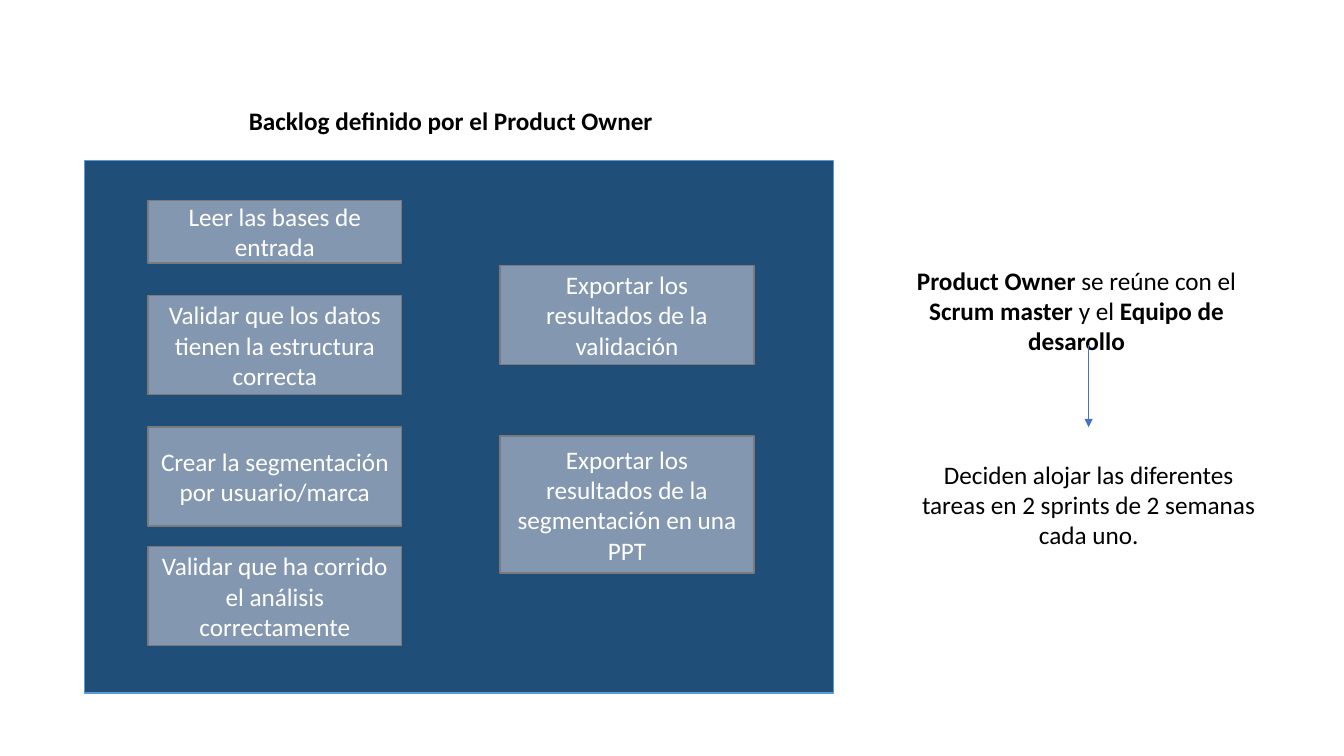
"""Build the slide of a product backlog and the planning of its sprints."""
from dataclasses import dataclass
from typing import Any

from lxml.etree import SubElement
from pptx import Presentation
from pptx.dml.color import RGBColor
from pptx.enum.shapes import MSO_CONNECTOR as Connector, MSO_SHAPE as Shape
from pptx.enum.text import MSO_ANCHOR as Anchor, MSO_AUTO_SIZE as AutoSize, PP_ALIGN as Align
from pptx.oxml.ns import qn
from pptx.util import Inches, Pt

WIDTH, HEIGHT = Inches(13.33), Inches(7.5)
COLUMNS = ROWS = 100
TASK_WIDTH, TASK_HEIGHT = 18.9, 13.1
STEP_WIDTH, STEP_HEIGHT = 27.8, 13.5

NAVY, SKY, SLATE, GRAY = "1F4E79", "5B9BD5", "8497B0", "7A7A7A"
BLACK, WHITE, BLUE = "000000", "FFFFFF", "4472C4"

FONT_FORMAT = {"name": "Calibri", "size": Pt(18)}
TASK_FORMAT = {"word_wrap": True, "vertical_anchor": Anchor.MIDDLE}
NOTE_FORMAT = {"word_wrap": True, "vertical_anchor": Anchor.TOP,
               "auto_size": AutoSize.SHAPE_TO_FIT_TEXT}


@dataclass(frozen=True)
class Area:
    """Place on the grid, in columns and rows."""
    column: float
    row: float
    width: float
    height: float

    def box(self) -> tuple[int, int, int, int]:
        """Return left, top, width and height as lengths."""
        return across(self.column), down(self.row), across(self.width), down(self.height)


@dataclass(frozen=True)
class Words:
    """Stretch of text in one weight."""
    text: str
    bold: bool = False


@dataclass(frozen=True)
class Task:
    """Backlog item with its place in a column."""
    text: str
    row: float
    height: float = TASK_HEIGHT


@dataclass(frozen=True)
class Note:
    """Free text beside or above the backlog."""
    area: Area
    words: tuple[Words, ...]


BACKLOG = Area(6.3, 21.2, 55.7, 70.5)

TASK_COLUMNS = {
    11: (
        Task("Leer las bases de entrada", 26.5, 8.3),
        Task("Validar que los datos tienen la estructura correcta", 39.1),
        Task("Crear la segmentación por usuario/marca", 56.5),
        Task("Validar que ha corrido el análisis correctamente", 72.3),
    ),
    37.2: (
        Task("Exportar los resultados de la validación", 35.1),
        Task("Exportar los resultados de la segmentación en una PPT", 57.7, 18.1),
    ),
}

NOTES = (
    Note(Area(12.5, 13.3, 42.1, 5.4), (Words("Backlog definido por el Product Owner", True),)),
    Note(Area(66.2, 34.4, STEP_WIDTH, STEP_HEIGHT), (
        Words("Product Owner ", True), Words("se reúne con el "),
        Words("Scrum master ", True), Words("y el "),
        Words("Equipo de desarollo", True))),
    Note(Area(67.1, 60.1, STEP_WIDTH, STEP_HEIGHT), (
        Words("Deciden alojar las diferentes tareas en 2 sprints de 2 semanas cada uno."),)),
)

MEETING_TO_DECISION = Area(81, 45.6, 0, 10.9)


def across(columns: float) -> int:
    """Turn columns into a length."""
    return round(WIDTH * columns / COLUMNS)


def down(rows: float) -> int:
    """Turn rows into a length."""
    return round(HEIGHT * rows / ROWS)


def rgb(color: str) -> RGBColor:
    """Turn a hex string into a colour."""
    return RGBColor.from_string(color)


def apply(target: Any, values: dict[str, Any]) -> None:
    """Set each format value on the target."""
    for name, value in values.items():
        setattr(target, name, value)


def write(frame: Any, words: tuple[Words, ...], color: str, layout: dict[str, Any]) -> None:
    """Fill a text frame with one centred paragraph."""
    apply(frame, layout)
    paragraph = frame.paragraphs[0]
    paragraph.alignment = Align.CENTER
    for part in words:
        run = paragraph.add_run()
        run.text = part.text
        apply(run.font, FONT_FORMAT | {"bold": part.bold})
        run.font.color.rgb = rgb(color)


def draw_panel(slide: Any, area: Area, fill: str, border: str) -> Any:
    """Draw a filled rectangle with a thin border."""
    panel = slide.shapes.add_shape(Shape.RECTANGLE, *area.box())
    panel.shadow.inherit = False
    panel.fill.solid()
    panel.fill.fore_color.rgb = rgb(fill)
    panel.line.color.rgb = rgb(border)
    panel.line.width = Pt(1)
    return panel


def draw_task(slide: Any, column: float, task: Task) -> None:
    """Draw one backlog item."""
    card = draw_panel(slide, Area(column, task.row, TASK_WIDTH, task.height), SLATE, GRAY)
    write(card.text_frame, (Words(task.text),), WHITE, TASK_FORMAT)


def draw_note(slide: Any, note: Note) -> None:
    """Draw one free text."""
    frame = slide.shapes.add_textbox(*note.area.box()).text_frame
    write(frame, note.words, BLACK, NOTE_FORMAT)


def draw_arrow(slide: Any, area: Area) -> None:
    """Draw an arrow from the first corner of the area to the last."""
    left, top, width, height = area.box()
    arrow = slide.shapes.add_connector(
        Connector.STRAIGHT, left, top, left + width, top + height)
    arrow.line.color.rgb = rgb(BLUE)
    arrow.line.width = Pt(0.5)
    SubElement(arrow.line._get_or_add_ln(), qn("a:tailEnd"), type="triangle")
    SubElement(arrow._element.spPr, qn("a:effectLst"))


def main() -> None:
    """Build and save the slide."""
    deck = Presentation()
    apply(deck, {"slide_width": WIDTH, "slide_height": HEIGHT})
    slide = deck.slides.add_slide(deck.slide_layouts[6])
    draw_panel(slide, BACKLOG, NAVY, SKY)
    for column, tasks in TASK_COLUMNS.items():
        for task in tasks:
            draw_task(slide, column, task)
    for note in NOTES:
        draw_note(slide, note)
    draw_arrow(slide, MEETING_TO_DECISION)
    deck.save("out.pptx")


main()
